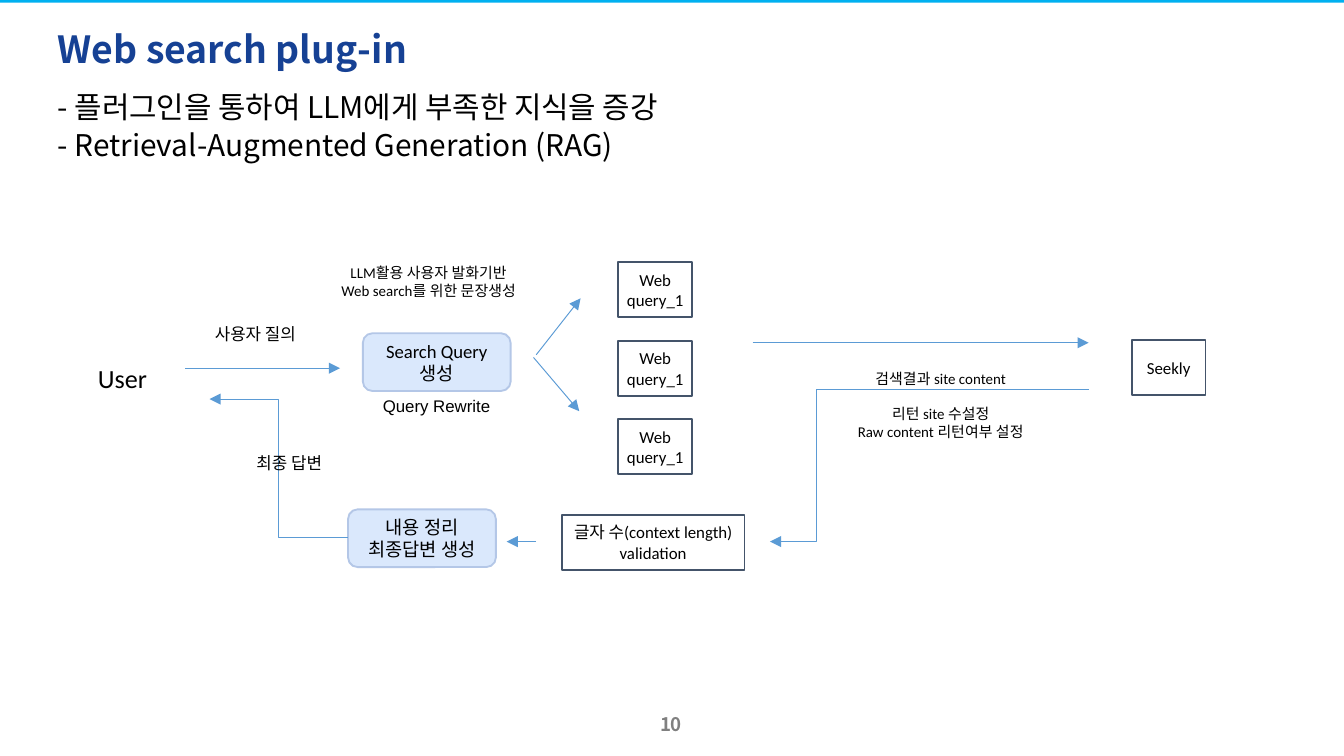
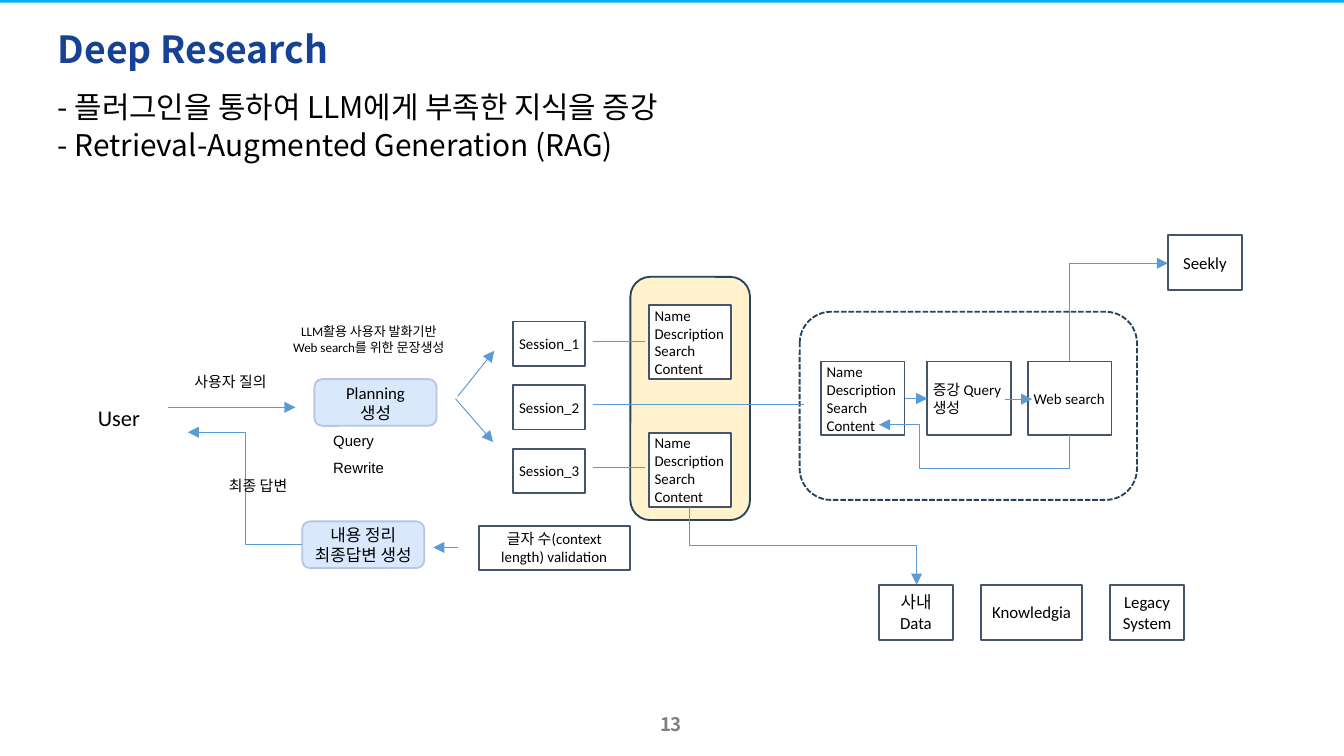
from dataclasses import dataclass

from lxml.etree import SubElement
from pptx import Presentation
from pptx.dml.color import RGBColor
from pptx.enum.dml import MSO_LINE
from pptx.enum.shapes import MSO_CONNECTOR, MSO_SHAPE
from pptx.enum.text import MSO_ANCHOR, MSO_AUTO_SIZE, PP_ALIGN
from pptx.oxml.ns import qn
from pptx.util import Inches, Pt

COLORS = {
    "band": "00B0F0", "title": "164194", "text": "000000", "number": "808080",
    "white": "FFFFFF", "arrow": "5B9BD5", "box_line": "44546A",
    "step": "DAE8FC", "step_line": "B4C7E7",
    "panel": "FFF2CC", "panel_line": "28445D",
}
HEAD_FONT = "Noto Sans CJK KR"
BODY_FONT = "Calibri"
PAGE_WIDTH, PAGE_HEIGHT = 10, 5.625
CENTER, LEFT = PP_ALIGN.CENTER, PP_ALIGN.LEFT
CARD_TEXT = "Name\nDescription\nSearch\nContent"
SEARCH_SERVICE = "Seekly"


@dataclass
class Region:
    """A box on a page, in inches, split into columns and rows."""
    page: object
    left: float
    top: float
    width: float
    height: float
    columns: float
    rows: float
    type_share: float = 1

    def point(self, column, row):
        return (Inches(self.left + column * self.width / self.columns),
                Inches(self.top + row * self.height / self.rows))

    def frame(self, column, row, columns, rows):
        return (*self.point(column, row),
                Inches(columns * self.width / self.columns),
                Inches(rows * self.height / self.rows))

    def size(self, points):
        return round(points * self.type_share)


def color(name):
    return RGBColor.from_string(COLORS[name])


def write(shape, text, size, font=BODY_FONT, ink="text", bold=False, align=LEFT,
          anchor=MSO_ANCHOR.TOP, insets=(0.1, 0.05), wrap=True, grow=False,
          spacing=None, tracking=None):
    """Fill a shape with one paragraph per line of text."""
    frame = shape.text_frame
    frame.word_wrap = wrap
    frame.auto_size = MSO_AUTO_SIZE.SHAPE_TO_FIT_TEXT if grow else MSO_AUTO_SIZE.NONE
    frame.vertical_anchor = anchor
    frame.margin_left = frame.margin_right = Inches(insets[0])
    frame.margin_top = frame.margin_bottom = Inches(insets[1])
    for index, line in enumerate(text.split("\n")):
        para = frame.paragraphs[0] if index == 0 else frame.add_paragraph()
        para.alignment = align
        if spacing:
            para.line_spacing = spacing
        span = para.add_run()
        span.text = line
        span.font.size, span.font.name, span.font.bold = Pt(size), font, bold
        span.font.color.rgb = color(ink)
        properties = span.font._element
        SubElement(properties, qn("a:ea")).set("typeface", HEAD_FONT)
        if tracking:
            properties.set("spc", str(int(tracking * 100)))
    return frame


def label(region, text, place, size, wrap=False, align=LEFT, **style):
    """Add a text box; a one-line label stays wide enough where the grid shrinks."""
    column, row, columns, rows = place
    if not wrap:
        extra = columns / region.type_share - columns
        columns += extra
        if align == CENTER:
            column -= extra / 2
    box = region.page.shapes.add_textbox(*region.frame(column, row, columns, rows))
    return write(box, text, region.size(size), wrap=wrap, align=align, grow=True, **style)


def block(region, place, fill="white", line=None, kind=MSO_SHAPE.RECTANGLE):
    box = region.page.shapes.add_shape(kind, *region.frame(*place))
    box.shadow.inherit = False
    box.fill.solid()
    box.fill.fore_color.rgb = color(fill)
    if line:
        box.line.color.rgb = color(line)
        box.line.width = Pt(1)
    else:
        box.line.fill.background()
    return box


def node(region, text, place, size=9, align=CENTER):
    box = block(region, place, line="box_line")
    write(box, text, region.size(size), align=align, anchor=MSO_ANCHOR.MIDDLE,
          insets=(0.04, 0.05))
    return box


def step(region, text, place, insets=(0.1, 0.05)):
    box = block(region, place, "step", "step_line", MSO_SHAPE.ROUNDED_RECTANGLE)
    write(box, text, region.size(10), align=CENTER, anchor=MSO_ANCHOR.MIDDLE, insets=insets)


def panel(region, place, fill):
    return block(region, place, fill, "panel_line", MSO_SHAPE.ROUNDED_RECTANGLE)


def connect(region, begin, end, kind=MSO_CONNECTOR.STRAIGHT, head=True):
    link = region.page.shapes.add_connector(kind, *region.point(*begin), *region.point(*end))
    link.line.color.rgb = color("arrow")
    link.line.width = Pt(0.5)
    if head:
        SubElement(link.line._get_or_add_ln(), qn("a:tailEnd")).set("type", "triangle")
    SubElement(link._element.spPr, qn("a:effectLst"))
    return link


def elbow(region, begin, end, preset="bentConnector3", turn=0, flips="", adjusts=()):
    """Draw a bent arrow; a quarter turn makes it leave its start vertically."""
    link = connect(region, begin, end, MSO_CONNECTOR.ELBOW)
    properties = link._element.spPr
    if turn:
        center_x, center_y = link.left + link.width // 2, link.top + link.height // 2
        link.width, link.height = link.height, link.width
        link.left, link.top = center_x - link.width // 2, center_y - link.height // 2
        transform = properties.find(qn("a:xfrm"))
        transform.set("rot", str(turn * 60000))
        for axis in "HV":
            transform.set("flip" + axis, str(int(axis in flips)))
    geometry = properties.find(qn("a:prstGeom"))
    geometry.set("prst", preset)
    guides = geometry.find(qn("a:avLst"))
    if guides is None:
        guides = SubElement(geometry, qn("a:avLst"))
    for number, share in enumerate(adjusts, 1):
        guide = SubElement(guides, qn("a:gd"))
        guide.set("name", f"adj{number}")
        guide.set("fmla", f"val {round(share * 100000)}")


def add_page(deck, title, number):
    """Add a page with the band, title, lead lines and page number all pages share."""
    page = deck.slides.add_slide(deck.slide_layouts[6])
    whole = Region(page, 0, 0, PAGE_WIDTH, PAGE_HEIGHT, 100, 56.25)
    block(whole, (-0.1, -0.3, 100.1, 0.5), "band")
    label(whole, title, (4.3, 2.3, 72.4, 3), 20, font=HEAD_FONT, ink="title", bold=True,
          insets=(0, 0), wrap=True, spacing=0.9)
    label(whole, "- 플러그인을 통하여 LLM에게 부족한 지식을 증강\n"
                 "- Retrieval-Augmented Generation (RAG)",
          (4.3, 6.5, 91.4, 5.4), 16, font=HEAD_FONT, insets=(0, 0), wrap=True, spacing=1.05)
    label(whole, str(number), (48.1, 52.5, 3.7, 2.8), 10.5, font=HEAD_FONT, ink="number",
          bold=True, align=CENTER, anchor=MSO_ANCHOR.MIDDLE, tracking=-0.5)
    return page


def user_flow(region, first_step, queries, query_left, query_width):
    """Draw the loop from the user's question through queries to the final answer."""
    label(region, "User", (0, 7.4, 5.7, 3.4), 14)
    label(region, "사용자 질의", (8.7, 4.5, 8.6, 2.5), 9)
    label(region, "LLM활용 사용자 발화기반\nWeb search를 위한 문장생성",
          (17.7, 0, 15.8, 3.7), 8, align=CENTER)
    step(region, first_step, (20.7, 5.7, 11, 4.3))
    label(region, "Query Rewrite", (21.2, 9.1, 10.8, 3), 9, font="Arial", wrap=True,
          spacing=1.5)
    for index, query in enumerate(queries):
        node(region, query, (query_left, 0.4 + 5.85 * index, query_width, 4.1))
    node(region, "글자 수(context length) validation", (35.5, 19.2, 13.6, 4.1))
    step(region, "내용 정리\n최종답변 생성", (19.6, 18.8, 11, 4.3), insets=(0.04, 0.04))
    for begin, end in (((7.5, 8.3), (19, 8.3)), ((33.4, 7.5), (36.8, 11.5)),
                       ((33.6, 7.3), (36.9, 3.1)), ((33.6, 21.2), (31.4, 21.2))):
        connect(region, begin, end)
    elbow(region, (19.6, 20.9), (9.3, 10.6))
    label(region, "최종 답변", (11.8, 14.1, 7.3, 2.5), 9)


def search_exchange(region):
    connect(region, (0, 0.5), (25, 0.5))
    elbow(region, (25, 4), (1.3, 15.3), adjusts=[0.853])
    frame = label(region, "검색결과 site content\n리턴 site 수설정\nRaw content 리턴여부 설정",
                  (6.5, 2, 15, 6.4), 8, align=CENTER)
    frame.paragraphs[1].space_before = Pt(9.5)
    node(region, SEARCH_SERVICE, (28.2, 0.3, 5.5, 4.1))


def session_panel(region):
    panel(region, (2.8, 0, 8.9, 18.1), "panel")
    for row in (2.1, 11.6):
        node(region, CARD_TEXT, (4.2, row, 6.1, 5.5), 8, LEFT)
    for index, end in enumerate((3.9, 15.7, 3.9)):
        row = 4.8 + 4.7 * index
        connect(region, (0, row), (end, row), head=False)


def research_loop(region):
    outline = panel(region, (0, 5.7, 25.1, 14), "white")
    outline.line.dash_style = MSO_LINE.SQUARE_DOT
    card, query, search = [
        node(region, text, (column, 9.4, 6.2, 5.5), 8, LEFT)
        for text, column in ((CARD_TEXT, 1.6), ("증강 Query\n생성", 9.5), ("Web search", 17))]
    node(region, SEARCH_SERVICE, (27.4, 0, 5.5, 4.1))
    link = connect(region, (7.8, 12.2), (9.5, 12.2))
    link.begin_connect(card, 3)
    link.end_connect(query, 1)
    connect(region, (15.3, 12.2), (17.3, 12.2))
    elbow(region, (20.1, 9.4), (27.4, 2.1), "bentConnector2", 90, "HV")
    elbow(region, (20.1, 14.9), (5.9, 14.1), "bentConnector4", 90, "H", [-3.1, 0.79])


def data_sources(region):
    elbow(region, (0, 0), (16.9, 5.8), turn=270, flips="H")
    column, gap = 14.1, 2.1
    for text, width in (("사내\nData", 5.5), ("Knowledgia", 7.5), ("Legacy\nSystem", 5.5)):
        node(region, text, (column, 5.8, width, 4.1))
        column += width + gap


def build_plugin_page(deck):
    page = add_page(deck, "Web search plug-in", 10)
    user_flow(Region(page, 0.63, 1.91, 5, 2.4, 50, 24),
              "Search Query 생성", ["Web query_1"] * 3, 39.7, 5.5)
    search_exchange(Region(page, 5.6, 2.5, 3.4, 1.6, 34, 16))


def build_research_page(deck):
    page = add_page(deck, "Deep Research", 13)
    research_loop(Region(page, 5.95, 1.75, 3.3, 2, 33, 20))
    session_panel(Region(page, 4.41, 2.06, 1.6, 1.8, 16, 18))
    user_flow(Region(page, 0.63, 2.36, 4.13, 1.94, 50, 24, type_share=0.87),
              "Planning\n생성", [f"Session_{number}" for number in (1, 2, 3)], 38.6, 6.5)
    data_sources(Region(page, 5.13, 3.77, 3.7, 1, 37, 10))


def main():
    deck = Presentation()
    deck.slide_width, deck.slide_height = Inches(PAGE_WIDTH), Inches(PAGE_HEIGHT)
    build_plugin_page(deck)
    build_research_page(deck)
    deck.save("out.pptx")


if __name__ == "__main__":
    main()
